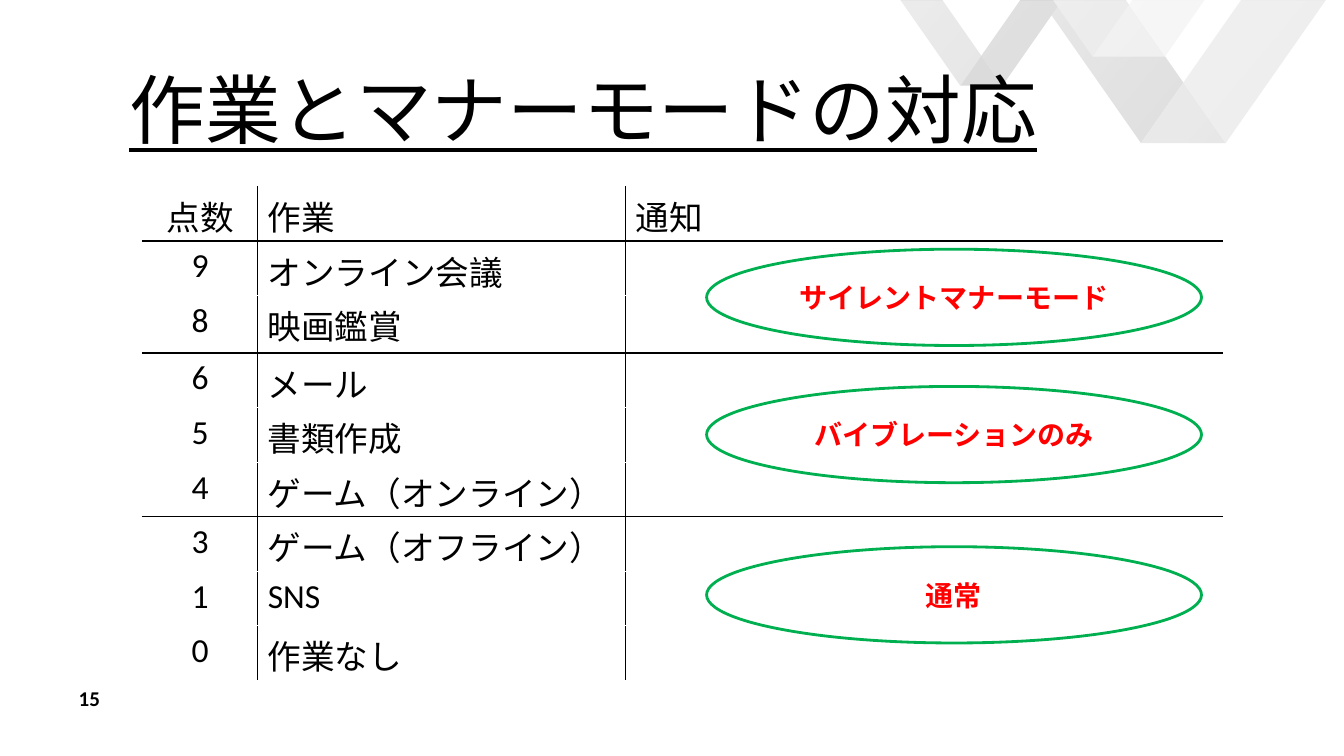
from lxml.etree import SubElement
from pptx import Presentation
from pptx.dml.color import RGBColor
from pptx.enum.shapes import MSO_SHAPE
from pptx.enum.text import MSO_ANCHOR, PP_ALIGN
from pptx.oxml import parse_xml
from pptx.oxml.ns import qn
from pptx.util import Pt

# Content
TITLE = "作業とマナーモードの対応"
PAGE_NUMBER = "15"
ROWS = [
    ("点数", "作業", "通知"),
    ("9", "オンライン会議", ""),
    ("8", "映画鑑賞", ""),
    ("6", "メール", ""),
    ("5", "書類作成", ""),
    ("4", "ゲーム（オンライン）", ""),
    ("3", "ゲーム（オフライン）", ""),
    ("1", "SNS", ""),
    ("0", "作業なし", ""),
]
GROUP_ENDS = (0, 2, 5)  # rows with a line below
MODES = [("サイレントマナーモード", 178), ("バイブレーションのみ", 276), ("通常", 390.5)]  # text, top

# Base left, base width, bottom, then colours of right arm, left arm and base
CHEVRONS = [
    (815, 60.5, 102.2, ("BFBFBF", "808080", "A6A6A6")),
    (686, 30, 61.2, ("595959", "808080", "404040")),
    (780.5, 51.5, 40.5, ("D9D9D9", "A6A6A6", "BFBFBF")),
]
SLOPE = 0.7  # sideways run of an arm per point of height

# Layout
SLIDE_WIDTH, SLIDE_HEIGHT = 960, 540
TABLE_LEFT, TABLE_TOP = 101.7, 133.2
COLUMN_WIDTHS = (82.4, 262.8, 426.2)
ROW_HEIGHT, TALL_ROW, TALL_HEIGHT = 39, 2, 41
MODE_LEFT, MODE_WIDTH, MODE_HEIGHT = 504.7, 353.5, 68.8
LATIN, JAPANESE = "Calibri", "Noto Sans CJK JP"
DRAWING = 'xmlns:a="http://schemas.openxmlformats.org/drawingml/2006/main"'

presentation = Presentation()
presentation.slide_width, presentation.slide_height = Pt(SLIDE_WIDTH), Pt(SLIDE_HEIGHT)
slide = presentation.slides.add_slide(presentation.slide_layouts[6])
shapes = slide.shapes


def color(value):
    return RGBColor.from_string(value)


def write(frame, text, size, hex_color="000000", latin=LATIN, bold=False, align=PP_ALIGN.LEFT):
    frame.text = text
    paragraph = frame.paragraphs[0]
    paragraph.alignment = align
    for run in paragraph.runs:
        font = run.font
        font.size, font.bold, font.name = Pt(size), bold, latin
        font.color.rgb = color(hex_color)
        SubElement(font._element, qn("a:ea")).set("typeface", JAPANESE)
    return paragraph


def add_text(left, top, width, height, text, size, anchor, **style):
    frame = shapes.add_textbox(Pt(left), Pt(top), Pt(width), Pt(height)).text_frame
    frame.word_wrap = True
    frame.vertical_anchor = anchor
    frame.margin_left = frame.margin_top = frame.margin_right = frame.margin_bottom = 0
    paragraph = write(frame, text, size, **style)
    paragraph.line_spacing = 0.9
    return paragraph


def add_polygon(points, hex_color):
    (start_x, start_y), *others = [(Pt(x), Pt(y)) for x, y in points]
    builder = shapes.build_freeform(start_x, start_y)
    builder.add_line_segments(others, close=True)
    shape = builder.convert_to_shape()
    shape.shadow.inherit = False
    shape.fill.solid()
    shape.fill.fore_color.rgb = color(hex_color)
    shape.line.fill.background()


def add_border(cell, side):
    line = parse_xml(
        f'<a:{side} {DRAWING} w="12700"><a:solidFill><a:srgbClr val="000000"/>'
        f'</a:solidFill></a:{side}>')
    cell._tc.get_or_add_tcPr().append(line)


# Chevrons at the top right
for left, width, bottom, (right_color, left_color, base_color) in CHEVRONS:
    right, run = left + width, bottom * SLOPE
    notch = (left + width / 2, bottom - width / 2 / SLOPE)
    base_left, base_right = (left, bottom), (right, bottom)
    add_polygon([(right + run - width, 0), (right + run, 0), base_right, notch], right_color)
    add_polygon([(left - run, 0), (left - run + width, 0), notch, base_left], left_color)
    add_polygon([notch, base_right, base_left], base_color)

# White veil that fades the chevrons
veil = shapes.add_shape(MSO_SHAPE.RECTANGLE, 0, 0, Pt(SLIDE_WIDTH), Pt(SLIDE_HEIGHT))
veil.shadow.inherit = False
veil.line.fill.background()
veil_properties = veil._element.spPr
veil_properties.insert(2, parse_xml(
    f'<a:gradFill {DRAWING} rotWithShape="1"><a:gsLst>'
    '<a:gs pos="13000"><a:srgbClr val="FFFFFF"/></a:gs>'
    '<a:gs pos="100000"><a:srgbClr val="FFFFFF"><a:alpha val="58000"/></a:srgbClr></a:gs>'
    '</a:gsLst><a:lin ang="2400000" scaled="0"/></a:gradFill>'))

# Title and page number
title = add_text(92.5, 52.6, 860, 84, TITLE, 54, MSO_ANCHOR.TOP, latin=JAPANESE)
title.runs[0].font.underline = True
number = add_text(56.2, 480.2, 72, 28, PAGE_NUMBER, 15, MSO_ANCHOR.BOTTOM, bold=True)
number.space_after = Pt(10)

# Table with lines between columns and below each group
table = shapes.add_table(
    len(ROWS), len(COLUMN_WIDTHS), Pt(TABLE_LEFT), Pt(TABLE_TOP),
    Pt(sum(COLUMN_WIDTHS)), Pt(ROW_HEIGHT * len(ROWS))).table
table.first_row = table.horz_banding = False
for column, width in zip(table.columns, COLUMN_WIDTHS):
    column.width = Pt(width)
for row_index, texts in enumerate(ROWS):
    table.rows[row_index].height = Pt(TALL_HEIGHT if row_index == TALL_ROW else ROW_HEIGHT)
    for column_index, text in enumerate(texts):
        cell = table.cell(row_index, column_index)
        write(cell.text_frame, text, 24,
              align=PP_ALIGN.LEFT if column_index else PP_ALIGN.CENTER)
        if column_index > 0:
            add_border(cell, "lnL")
        if column_index < len(texts) - 1:
            add_border(cell, "lnR")
        if row_index - 1 in GROUP_ENDS:
            add_border(cell, "lnT")
        if row_index in GROUP_ENDS:
            add_border(cell, "lnB")
        cell.fill.background()

# Notification modes
for text, top in MODES:
    mode = shapes.add_shape(
        MSO_SHAPE.OVAL, Pt(MODE_LEFT), Pt(top), Pt(MODE_WIDTH), Pt(MODE_HEIGHT))
    mode.shadow.inherit = False
    mode.fill.solid()
    mode.fill.fore_color.rgb = color("FFFFFF")
    mode.line.color.rgb = color("00B050")
    mode.line.width = Pt(2)
    mode.text_frame.word_wrap = True
    mode.text_frame.vertical_anchor = MSO_ANCHOR.MIDDLE
    write(mode.text_frame, text, 20, "FF0000", bold=True, align=PP_ALIGN.CENTER)

presentation.save("out.pptx")
